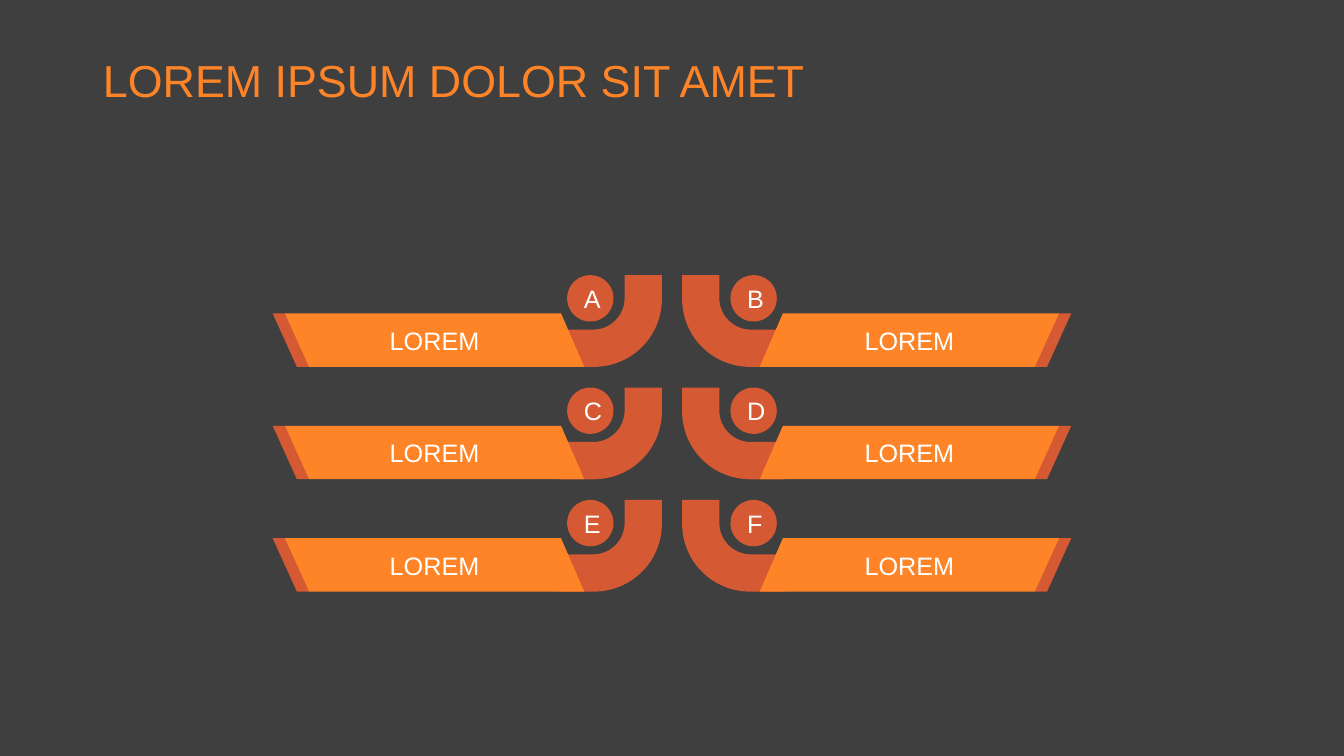
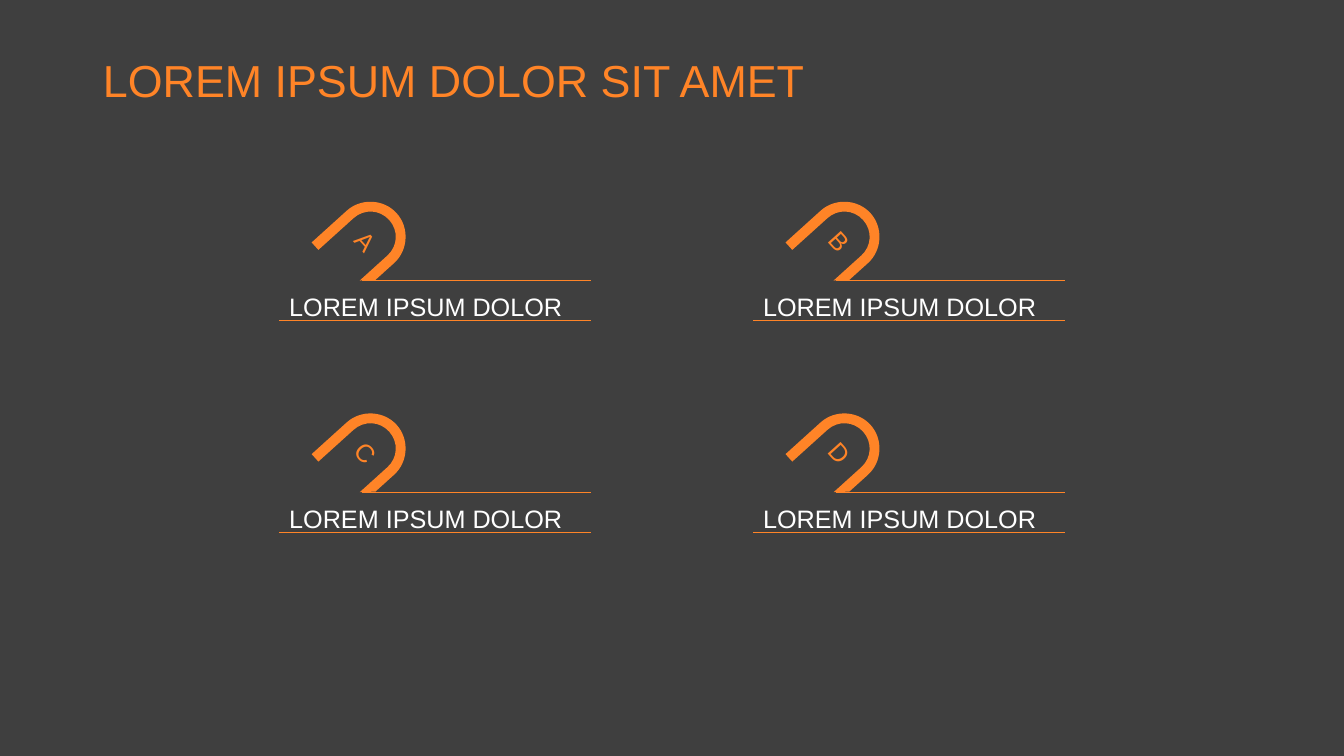
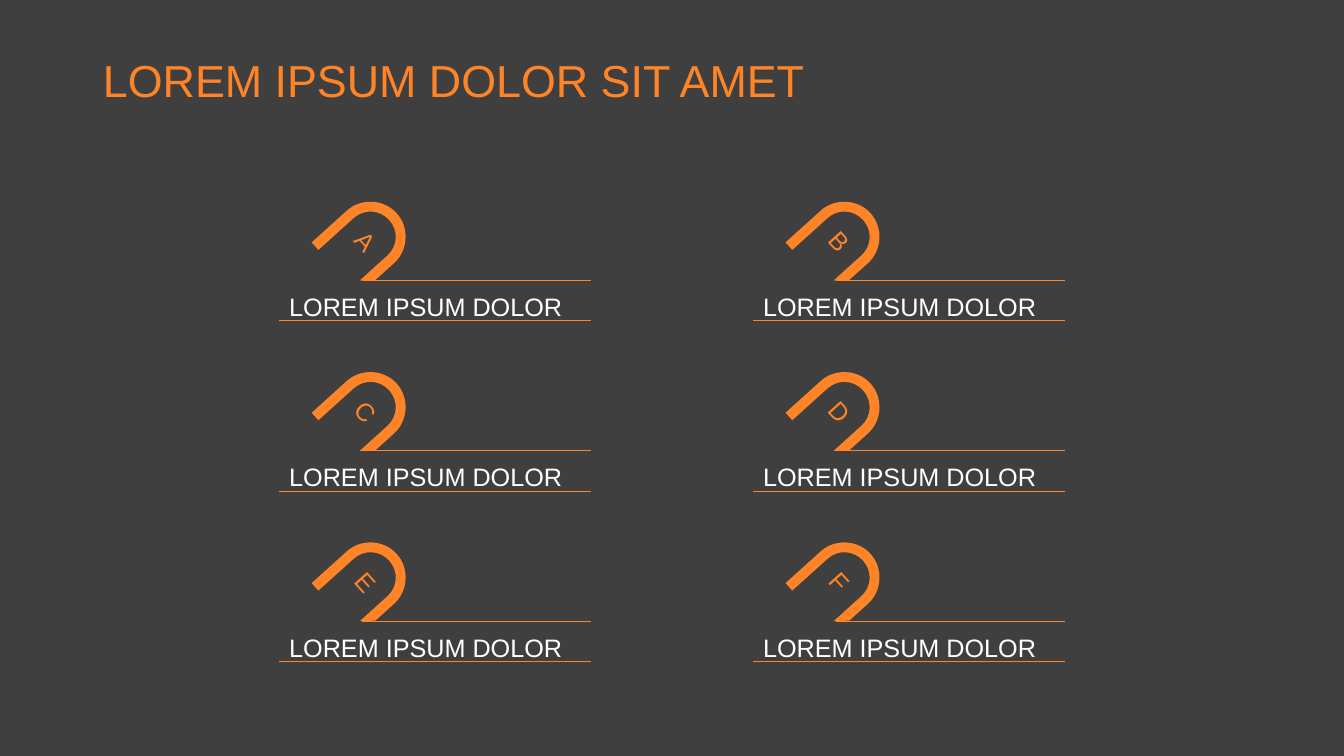
"""Build three dark slides of lettered labels: ribbons, then two grids of hooks."""
from lxml import etree
from pptx import Presentation
from pptx.dml.color import RGBColor
from pptx.enum.shapes import MSO_CONNECTOR, MSO_SHAPE
from pptx.enum.text import MSO_ANCHOR, MSO_AUTO_SIZE, PP_ALIGN
from pptx.oxml.ns import qn
from pptx.util import Inches, Pt

STRAIGHT = MSO_CONNECTOR.STRAIGHT
OVAL = MSO_SHAPE.OVAL
MIDDLE = MSO_ANCHOR.MIDDLE
LEFT, CENTER = PP_ALIGN.LEFT, PP_ALIGN.CENTER
NO_FIT = MSO_AUTO_SIZE.NONE

BACKGROUND, ORANGE, RUST = "3F3F3F", "FF8427", "D55A33"
RIBBON_TEXT, LABEL_TEXT = "FEFFFF", "FFFFFF"
WIDTH, HEIGHT = 13.33, 7.5
LETTERS = "ABCDEF"

ELBOW = [
    (0.47, 0), (0.1, 0), (0.1, 0.23), (0.1, 0.61, 0.4, 0.91, 0.78, 0.91),
    (1.12, 0.91), (1.12, 0.54), (0.78, 0.54), (0.61, 0.54, 0.47, 0.4, 0.47, 0.23),
]
TAIL = [(3.96, 0.38), (3.84, 0.38), (3.6, 0.91), (3.72, 0.91)]
RIBBON = [(3.84, 0.38), (1.1, 0.38), (0.87, 0.91), (3.6, 0.91)]
HOOK = [
    (0, 0.82), (0, 0.35), (0, 0.16, 0.16, 0, 0.35, 0), (0.54, 0, 0.7, 0.16, 0.7, 0.35),
    (0.7, 0.6), (0.6, 0.72), (0.6, 0.35), (0.6, 0.21, 0.49, 0.1, 0.35, 0.1),
    (0.21, 0.1, 0.1, 0.21, 0.1, 0.35), (0.1, 0.82),
]


def draw(group, steps, left, top, side=1):
    """Add a closed outline whose steps are points, or curves of three points."""
    points = [(Inches(left + side * x), Inches(top + y))
              for step in steps for x, y in zip(step[::2], step[1::2])]
    builder = group.shapes.build_freeform(*points[0])
    builder.add_line_segments(points[1:])
    shape = builder.convert_to_shape()
    segments = iter(list(shape._element.iter(qn("a:lnTo"))))
    for step in steps[1:]:
        segment = next(segments)
        if len(step) == 6:
            segment.addprevious(curve := etree.Element(qn("a:cubicBezTo")))
            for piece in (segment, next(segments), next(segments)):
                curve.append(piece[0])
                piece.getparent().remove(piece)
    return shape


def write(shape, text, color, size=18, align=CENTER, spacing=None):
    """Set one styled paragraph in a shape."""
    frame = shape.text_frame
    frame.word_wrap = True
    frame.auto_size = NO_FIT
    frame.vertical_anchor = MIDDLE
    para = frame.paragraphs[0]
    para.text = text
    para.alignment = align
    para.line_spacing = spacing
    para.font.name = "Arial"
    para.font.size = Pt(size)
    para.font.color.rgb = RGBColor.from_string(color)


deck = Presentation()
deck.slide_width, deck.slide_height = Inches(WIDTH), Inches(HEIGHT)
backdrop = deck.slide_master.background.fill
backdrop.solid()
backdrop.fore_color.rgb = RGBColor.from_string(BACKGROUND)

pages = [deck.slides.add_slide(deck.slide_layouts[5]) for number in range(3)]
for page in pages:
    title = page.shapes.title
    title.left, title.top = Inches(0.92), Inches(0.4)
    title.width, title.height = Inches(11.5), Inches(0.85)
    write(title, "LOREM IPSUM DOLOR SIT AMET", ORANGE, 32, LEFT, 0.9)

solids = []
for index, letter in enumerate(LETTERS):
    row, column = divmod(index, 2)
    side = 2 * column - 1
    top = 2.73 + 2.23 * row / 2
    group = pages[0].shapes.add_group_shape()
    elbow = draw(group, ELBOW, WIDTH / 2, top, side)
    tail = draw(group, TAIL, WIDTH / 2, top, side)
    ribbon = draw(group, RIBBON, WIDTH / 2, top, side)
    write(ribbon, "LOREM", RIBBON_TEXT)
    badge = group.shapes.add_shape(
        OVAL, Inches(WIDTH / 2 + side * 0.81 - 0.23), Inches(top), Inches(0.46), Inches(0.46))
    write(badge, letter, RIBBON_TEXT)
    solids += [(elbow, RUST), (tail, RUST), (ribbon, ORANGE), (badge, RUST)]

for page, rows, pitch in ((pages[1], 2, 2.1), (pages[2], 3, 1.69)):
    for index, letter in enumerate(LETTERS[:2 * rows]):
        row, column = divmod(index, 2)
        left, top = 2.77 + 4.7 * column, 2.78 + pitch * row
        right = left + 3.09
        group = page.shapes.add_group_shape()
        for start, level in ((left + 0.82, top), (left, top + 0.4)):
            rule = group.shapes.add_connector(
                STRAIGHT, Inches(start), Inches(level), Inches(right), Inches(level))
            rule.line.color.rgb = RGBColor.from_string(ORANGE)
            rule.line.width = Pt(0.5)
            etree.SubElement(rule._element.spPr, qn("a:effectLst"))
        hook = draw(group, HOOK, left + 0.51, top - 0.8)
        hook.rotation = 47.9
        write(hook, letter, ORANGE)
        solids.append((hook, ORANGE))
        label = group.shapes.add_textbox(Inches(left), Inches(top), Inches(3.09), Inches(0.37))
        write(label, "LOREM IPSUM DOLOR", LABEL_TEXT, 18, LEFT, 1.5)

for shape, color in solids:
    shape.fill.solid()
    shape.fill.fore_color.rgb = RGBColor.from_string(color)
    shape.line.fill.background()
    shape.shadow.inherit = False

deck.save("out.pptx")
